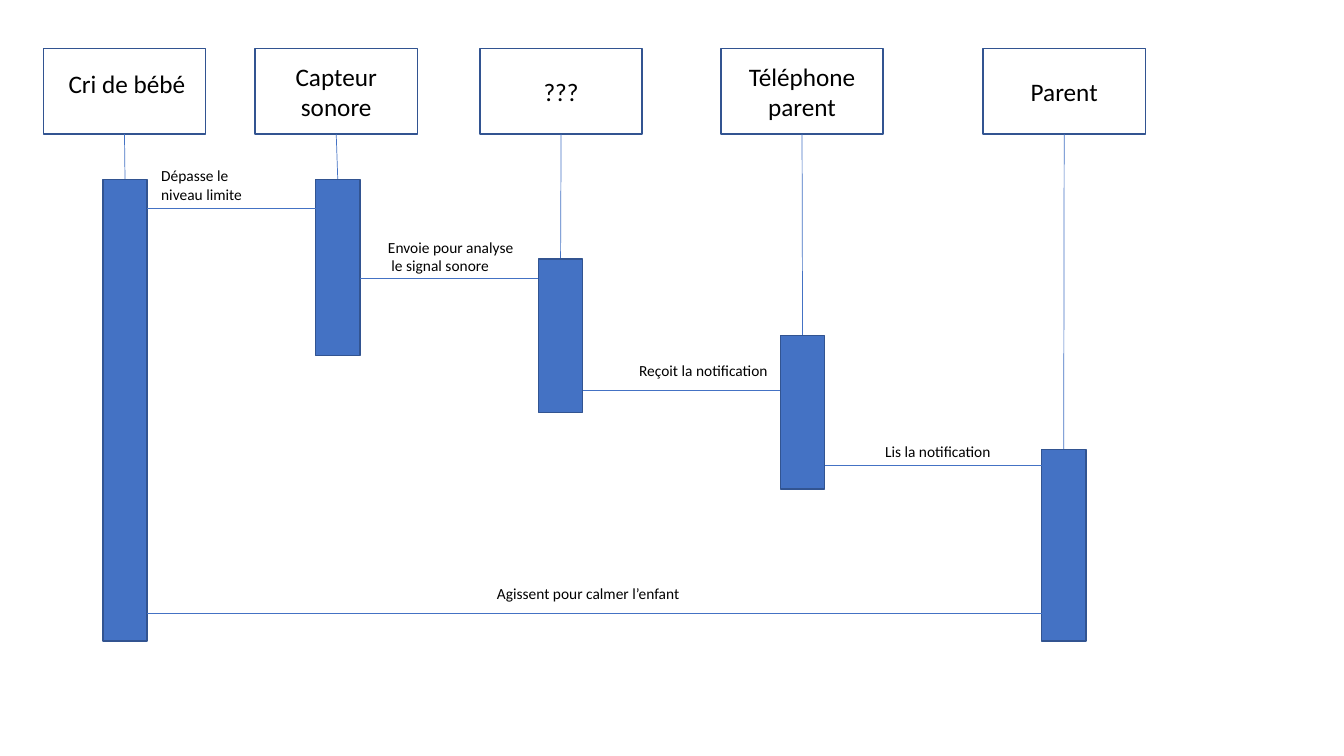
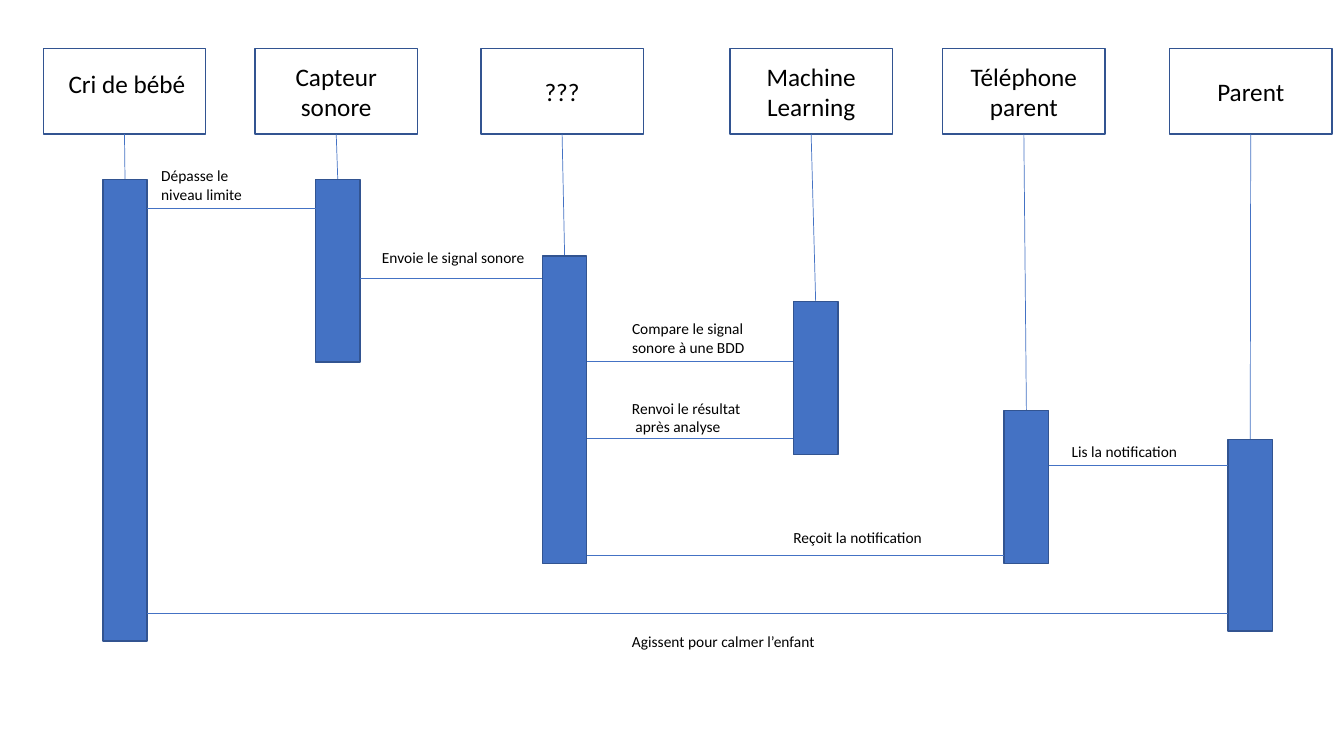
from lxml import etree
from pptx import Presentation
from pptx.dml.color import RGBColor
from pptx.enum import shapes as kinds, text as txt
from pptx.oxml import ns
from pptx.util import Inches, Pt

BLUE = RGBColor(0x44, 0x72, 0xC4)
NAVY = RGBColor(0x32, 0x54, 0x91)
WHITE = RGBColor(255, 255, 255)
BLACK = RGBColor(0, 0, 0)
FONT = "Calibri"

BOX_TOP, BOX_W, BOX_H = 0.48, 1.61, 0.85
BAR_W = 0.44
LINE_H, PAD = 0.18, 0.11

# Actor: name, box left, bar left, bar top, bar height
CRY = ("Cri de bébé", 0.43, 1.02, 1.78, 4.58)
# Message: sender, receiver, height on slide, text, label left, top, width
LIMIT = (0, 1, 2.07, "Dépasse le\nniveau limite", 1.5, 1.6, 1.01)

SIMPLE = (
    [
        CRY,
        ("Capteur sonore", 2.53, 3.13, 1.78, 1.75),
        ("???", 4.76, 5.34, 2.57, 1.52),
        ("Téléphone parent", 7.15, 7.74, 3.33, 1.52),
        ("Parent", 9.75, 10.33, 4.46, 1.9),
    ],
    [
        LIMIT,
        (1, 2, 2.76, "Envoie pour analyse\n le signal sonore", 3.75, 2.31, 1.46),
        (2, 3, 3.87, "Reçoit la notification", 6.24, 3.53, 1.49),
        (3, 4, 4.62, "Lis la notification", 8.68, 4.34, 1.26),
        (0, 4, 6.09, "Agissent pour calmer l’enfant", 4.83, 5.75, 2.04),
    ],
)
LEARNING = (
    [
        CRY,
        ("Capteur sonore", 2.53, 3.13, 1.78, 1.81),
        ("???", 4.77, 5.38, 2.54, 3.05),
        ("Machine Learning", 7.24, 7.87, 2.99, 1.52),
        ("Téléphone parent", 9.35, 9.96, 4.07, 1.52),
        ("Parent", 11.6, 12.18, 4.36, 1.9),
    ],
    [
        LIMIT,
        (1, 2, 2.76, "Envoie le signal sonore", 3.69, 2.41, 1.63),
        (2, 3, 3.59, "Compare le signal\nsonore à une BDD", 6.17, 3.12, 1.35),
        (2, 3, 4.35, "Renvoi le résultat\n après analyse", 6.17, 3.91, 1.34),
        (2, 4, 5.51, "Reçoit la notification", 7.77, 5.19, 1.49),
        (4, 5, 4.62, "Lis la notification", 10.53, 4.34, 1.26),
        (0, 5, 6.09, "Agissent pour calmer l’enfant", 6.17, 6.22, 2.04),
    ],
)


def set_all(obj, form):
    for name, value in form.items():
        setattr(obj, name, value)


def write(frame, words, size, align):
    frame.text = words
    for para in frame.paragraphs:
        para.alignment = align
        set_all(para.font, {"name": FONT, "size": Pt(size)})
        para.font.color.rgb = BLACK


def add_rect(slide, left, top, width, height, fill):
    rect = slide.shapes.add_shape(
        kinds.MSO_SHAPE.RECTANGLE, *map(Inches, (left, top, width, height)))
    rect.shadow.inherit = False
    rect.fill.solid()
    rect.fill.fore_color.rgb = fill
    rect.line.color.rgb = NAVY
    rect.line.width = Pt(1)
    return rect


def add_line(slide, x1, y1, x2, y2):
    line = slide.shapes.add_connector(
        kinds.MSO_CONNECTOR.STRAIGHT, *map(Inches, (x1, y1, x2, y2)))
    line.line.color.rgb = BLUE
    line.line.width = Pt(0.5)
    props = line._element.find(ns.qn("p:spPr"))
    etree.SubElement(props, ns.qn("a:effectLst"))


def add_label(slide, words, left, top, width):
    height = PAD + LINE_H * len(words.split("\n"))
    label = slide.shapes.add_textbox(
        *map(Inches, (left, top, width, height)))
    label.text_frame.word_wrap = False
    write(label.text_frame, words, 11, txt.PP_ALIGN.LEFT)


def add_actor(slide, name, left, bar, top, height):
    """Draw the named box, its lifeline and its activity bar."""
    box = add_rect(slide, left, BOX_TOP, BOX_W, BOX_H, WHITE)
    frame = box.text_frame
    frame.word_wrap = True
    if name == CRY[0]:
        set_all(frame, {"vertical_anchor": txt.MSO_ANCHOR.TOP,
                        "margin_left": Inches(0.25), "margin_right": 0,
                        "margin_top": Inches(0.2)})
        write(frame, name, 18, txt.PP_ALIGN.LEFT)
    else:
        frame.vertical_anchor = txt.MSO_ANCHOR.MIDDLE
        write(frame, name, 18, txt.PP_ALIGN.CENTER)
    add_line(slide, left + BOX_W / 2, BOX_TOP + BOX_H, bar + BAR_W / 2, top)
    add_rect(slide, bar, top, BAR_W, height, BLUE)


def add_sequence(deck, actors, messages):
    slide = deck.slides.add_slide(deck.slide_layouts.get_by_name("Blank"))
    for actor in actors:
        add_actor(slide, *actor)
    bars = [actor[2] for actor in actors]
    for start, end, y, *label in messages:
        add_line(slide, bars[start] + BAR_W, y, bars[end], y)
        add_label(slide, *label)


def main():
    deck = Presentation()
    set_all(deck, {"slide_width": Inches(13.33), "slide_height": Inches(7.5)})
    for actors, messages in (SIMPLE, LEARNING):
        add_sequence(deck, actors, messages)
    deck.save("out.pptx")


if __name__ == "__main__":
    main()
